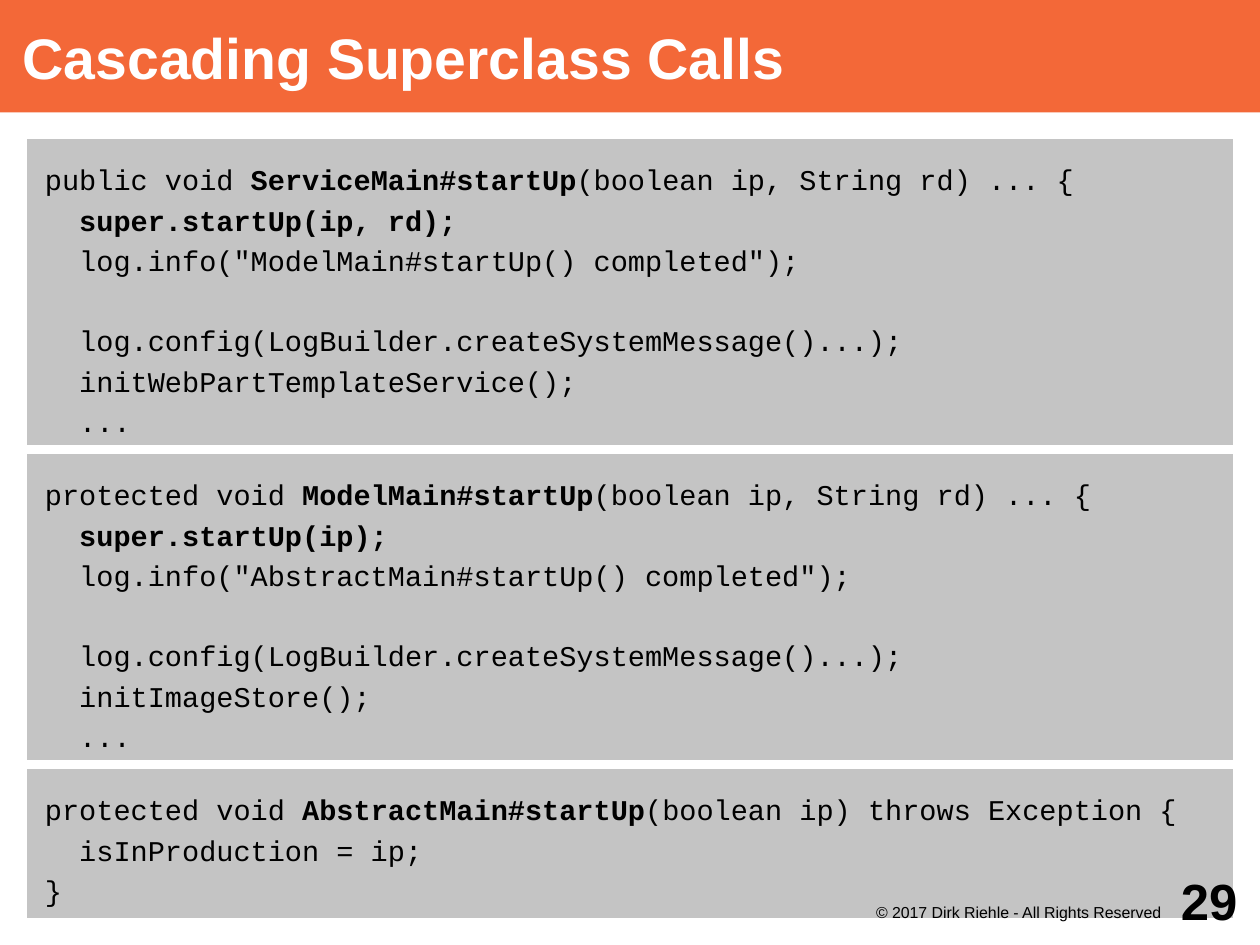
"""Build the slide on cascading superclass calls."""
import dataclasses

import pptx
import pptx.dml.color
import pptx.enum.shapes
import pptx.enum.text
import pptx.util

Cm = pptx.util.Cm
Pt = pptx.util.Pt
ALIGN = pptx.enum.text.PP_ALIGN
ANCHOR = pptx.enum.text.MSO_ANCHOR
INDENT = Pt(21.6)
LINE_PITCH = Pt(24.4)
SPACE_AFTER = Pt(2.8)


@dataclasses.dataclass(frozen=True)
class Run:
    """A stretch of text in one weight."""
    text: str
    bold: bool = False


@dataclasses.dataclass(frozen=True)
class CodeLine:
    """A line of code, its indent and whether a gap precedes it."""
    runs: tuple[Run, ...]
    indented: bool = True
    gap_before: bool = False


@dataclasses.dataclass(frozen=True)
class Style:
    """The font of a text."""
    font: str
    size: float
    color: str = "000000"


@dataclasses.dataclass(frozen=True)
class Box:
    """A place on the slide, in centimetres."""
    left: float
    top: float
    width: float
    height: float

    def lengths(self) -> tuple:
        """Return the place as lengths."""
        return Cm(self.left), Cm(self.top), Cm(self.width), Cm(self.height)


@dataclasses.dataclass(frozen=True)
class Label:
    """A one-line text on the footer."""
    box: Box
    run: Run
    style: Style
    insets: tuple[float, float, float, float]
    anchor: ANCHOR


CODE = Style("Courier New", 18)


def rgb(color: str) -> pptx.dml.color.RGBColor:
    """Turn a hex string into a colour."""
    return pptx.dml.color.RGBColor.from_string(color)


def add_run(paragraph, run: Run, style: Style) -> None:
    """Append a styled run to a paragraph."""
    part = paragraph.add_run()
    part.text = run.text
    part.font.name = style.font
    part.font.size = Pt(style.size)
    part.font.bold = run.bold
    part.font.color.rgb = rgb(style.color)


def set_frame(frame, insets: tuple[float, float, float, float], anchor: ANCHOR) -> None:
    """Set insets (left, top, right, bottom), wrapping and anchor."""
    frame.word_wrap = True
    frame.vertical_anchor = anchor
    frame.margin_left, frame.margin_top, frame.margin_right, frame.margin_bottom = map(Cm, insets)


def add_panel(slide, box: Box, fill: str):
    """Add a plain filled rectangle."""
    panel = slide.shapes.add_shape(pptx.enum.shapes.MSO_SHAPE.RECTANGLE, *box.lengths())
    panel.shadow.inherit = False
    panel.fill.solid()
    panel.fill.fore_color.rgb = rgb(fill)
    panel.line.fill.background()
    return panel


def add_title(slide, text: str) -> None:
    """Add the title band."""
    band = add_panel(slide, Box(0, 0, 28, 2.5), "F36838")
    set_frame(band.text_frame, (0.5, 0, 0, 0), ANCHOR.MIDDLE)
    paragraph = band.text_frame.paragraphs[0]
    paragraph.alignment = ALIGN.LEFT
    add_run(paragraph, Run(text, True), Style("Arial", 36, "FFFFFF"))


def add_code(slide, box: Box, lines: list[CodeLine]) -> None:
    """Add a code panel with a white border."""
    panel = add_panel(slide, box, "C4C4C4")
    panel.line.color.rgb = rgb("FFFFFF")
    panel.line.width = Pt(5.67)
    frame = panel.text_frame
    set_frame(frame, (0.5, 0.55, 0.1, 0.1), ANCHOR.TOP)
    for index, line in enumerate(lines):
        paragraph = frame.add_paragraph() if index else frame.paragraphs[0]
        paragraph.alignment = ALIGN.LEFT
        paragraph.line_spacing = 1.06
        paragraph.space_after = SPACE_AFTER
        if line.gap_before:
            paragraph.space_before = LINE_PITCH
        if line.indented:
            paragraph._p.get_or_add_pPr().set("marL", str(INDENT))
        for run in line.runs:
            add_run(paragraph, run, CODE)


def add_label(slide, label: Label) -> None:
    """Add a right-aligned footer text."""
    frame = slide.shapes.add_textbox(*label.box.lengths()).text_frame
    set_frame(frame, label.insets, label.anchor)
    paragraph = frame.paragraphs[0]
    paragraph.alignment = ALIGN.RIGHT
    add_run(paragraph, label.run, label.style)


def signature(access: str, method: str, rest: str) -> CodeLine:
    """Return the opening line of a method."""
    return CodeLine((Run(f"{access} void "), Run(method, True), Run(rest)), indented=False)


def cascading(access: str, owner: str, arguments: str, parent: str, init: str) -> list[CodeLine]:
    """Return a startUp method that calls its superclass first."""
    return [
        signature(access, f"{owner}#startUp", "(boolean ip, String rd) ... {"),
        CodeLine((Run(f"super.startUp({arguments});", True),)),
        CodeLine((Run(f'log.info("{parent}#startUp() completed");'),)),
        CodeLine((Run("log.config(LogBuilder.createSystemMessage()...);"),), gap_before=True),
        CodeLine((Run(f"{init}();"),)),
        CodeLine((Run("..."),)),
    ]


METHODS = [
    (7, cascading("public", "ServiceMain", "ip, rd", "ModelMain", "initWebPartTemplateService")),
    (7, cascading("protected", "ModelMain", "ip", "AbstractMain", "initImageStore")),
    (3.5, [
        signature("protected", "AbstractMain#startUp", "(boolean ip) throws Exception {"),
        CodeLine((Run("isInProduction = ip;"),)),
        CodeLine((Run("}"),), indented=False),
    ]),
]
FOOTER = [
    Label(Box(18, 20, 8, 1), Run("© 2017 Dirk Riehle - All Rights Reserved"),
          Style("Arial", 10), (0, 0.05, 0.2, 0), ANCHOR.TOP),
    Label(Box(25.5, 19, 2.5, 2), Run("29", True),
          Style("Arial", 32), (0, 0, 0.5, 0), ANCHOR.MIDDLE),
]


def main() -> None:
    """Build and save the slide."""
    deck = pptx.Presentation()
    deck.slide_width, deck.slide_height = Cm(28), Cm(21)
    slide = deck.slides.add_slide(deck.slide_layouts[6])
    add_title(slide, "Cascading Superclass Calls")
    top = 3
    for height, lines in METHODS:
        add_code(slide, Box(0.5, top, 27, height), lines)
        top += height
    for label in FOOTER:
        add_label(slide, label)
    deck.save("out.pptx")


main()
